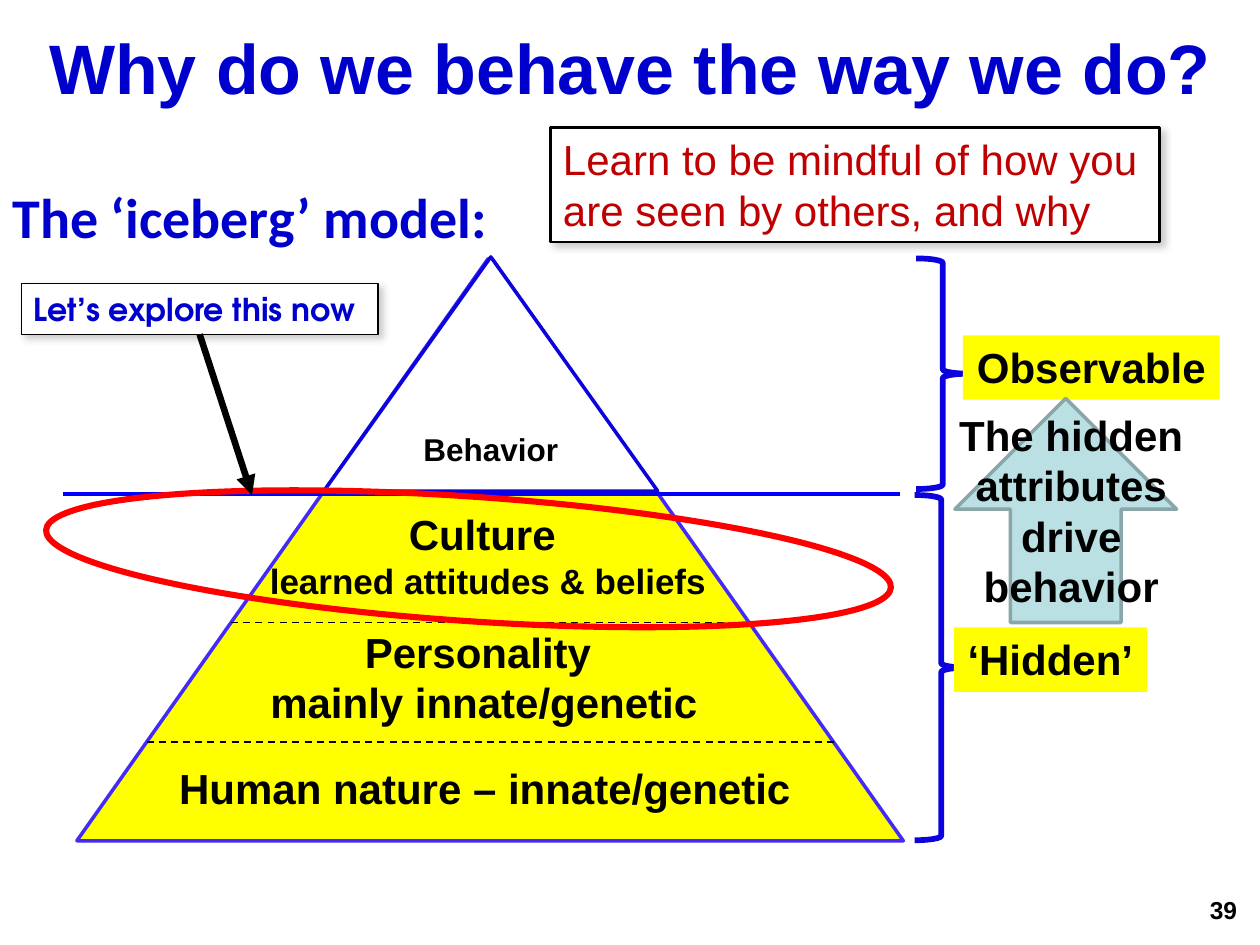
from lxml import etree
from pptx import Presentation
from pptx.dml.color import RGBColor
from pptx.enum import dml, shapes, text
from pptx.oxml import parse_xml
from pptx.oxml.ns import nsdecls, qn
from pptx.util import Cm, Pt

KIND = shapes.MSO_SHAPE
MID, LEFT, RIGHT = (text.PP_ALIGN.CENTER, text.PP_ALIGN.LEFT,
                    text.PP_ALIGN.RIGHT)
BLACK, WHITE, YELLOW = "000000", "FFFFFF", "FFFF00"
NAVY, BLUE = "0000CC", "0C02DE"


def color(hue):
    return RGBColor.from_string(hue)


def add_shape(slide, kind, box, fill=None, line=None, width=1, turn=0):
    shape = slide.shapes.add_shape(kind, *map(Cm, box))
    shape.shadow.inherit = False
    shape.rotation = turn
    if fill:
        shape.fill.solid()
        shape.fill.fore_color.rgb = color(fill)
    else:
        shape.fill.background()
    if line:
        shape.line.color.rgb = color(line)
        shape.line.width = Pt(width)
    else:
        shape.line.fill.background()
    return shape


def write(shape, lines, hue=BLACK, align=MID, font="Arial", bold=True,
          wrap=True, anchor=text.MSO_ANCHOR.TOP):
    """Fill a shape with (words, size) lines parted by line breaks."""
    frame = shape.text_frame
    frame.word_wrap = wrap
    frame.vertical_anchor = anchor
    para = frame.paragraphs[0]
    para.alignment = align
    for i, (words, size) in enumerate(lines):
        if i:
            para.add_line_break()
        run = para.add_run()
        run.text = words
        run.font.name, run.font.size = font, Pt(size)
        run.font.bold = bold
        run.font.color.rgb = color(hue)
    return shape


def add_text(slide, box, lines, **style):
    return write(slide.shapes.add_textbox(*map(Cm, box)), lines, **style)


def add_line(slide, start, end, hue=BLACK, width=1, dash=False, head=False):
    line = slide.shapes.add_connector(shapes.MSO_CONNECTOR.STRAIGHT,
                                      *map(Cm, start + end))
    line.line.color.rgb = color(hue)
    line.line.width = Pt(width)
    if dash:
        line.line.dash_style = dml.MSO_LINE.DASH
    if head:
        tail = etree.SubElement(line.line._get_or_add_ln(), qn("a:tailEnd"))
        tail.set("type", "triangle")
    etree.SubElement(line._element.spPr, qn("a:effectLst"))
    return line


def add_shade(shape):
    props = shape._element.spPr
    props.remove(props.find(qn("a:effectLst")))
    props.append(parse_xml(
        f'<a:effectLst {nsdecls("a")}><a:outerShdw blurRad="{Pt(4)}" '
        f'dist="{Pt(3)}" dir="2700000" algn="tl" rotWithShape="0">'
        '<a:srgbClr val="808080"><a:alpha val="40000"/></a:srgbClr>'
        '</a:outerShdw></a:effectLst>'))


def add_base(slide):
    """Draw the whole pyramid, with dashed lines from edge to edge."""
    left, top, wide, high = box = (1.55, 5.16, 16.66, 11.79)
    parts = [add_shape(slide, KIND.ISOSCELES_TRIANGLE, box, YELLOW,
                       "432BF7", 2)]
    mid = left + wide / 2
    for y in (12.55, 14.96):
        half = wide / 2 * (y - top) / high
        parts.append(add_line(slide, (mid - half, y), (mid + half, y),
                              dash=True))
    slide.shapes.add_group_shape(parts)


def main():
    prs = Presentation()
    prs.slide_width, prs.slide_height = Cm(25.4), Cm(19.05)
    slide = prs.slides.add_slide(prs.slide_layouts[6])

    # Pyramid, heading and water line
    add_base(slide)
    write(add_shape(slide, KIND.RECTANGLE, (0, 3.56, 20.12, 1.63), WHITE),
          [("The ‘iceberg’ model:", 32)], NAVY, LEFT, "Calibri")
    add_line(slide, (1.27, 9.96), (18.14, 9.96), "0000FF", 2.25)

    # Braces and their labels
    for brace, box, name in (
            ((18.47, 5.21, 1.07, 4.65), (19.41, 6.76, 5.18, 1.3),
             "Observable"),
            ((18.44, 9.98, 1.07, 6.96), (19.23, 12.65, 3.89, 1.3),
             "‘Hidden’")):
        add_shape(slide, KIND.RIGHT_BRACE, brace, line=BLUE, width=3.25)
        write(add_shape(slide, KIND.RECTANGLE, box, YELLOW), [(name, 24)],
              wrap=False)

    # Layers below the water
    add_text(slide, (5.16, 12.5, 9.19, 2.49),
             [("Personality ", 24), ("mainly innate/genetic", 24)],
             wrap=False)
    add_text(slide, (4.01, 10.13, 11.66, 2.13),
             [("Culture ", 24), ("learned attitudes & beliefs", 20)])
    add_text(slide, (3.3, 15.24, 12.95, 1.3),
             [("Human nature – innate/genetic", 24)], wrap=False)

    # Tip above the water
    tip = add_shape(slide, KIND.ISOSCELES_TRIANGLE,
                    (6.53, 5.18, 6.73, 4.72), WHITE, BLUE, 2)
    write(tip, [("Behavior", 18)], anchor=text.MSO_ANCHOR.MIDDLE)
    tip.text_frame.margin_top = Cm(0.78)

    # Advice and title
    advice = add_shape(slide, KIND.RECTANGLE, (11.1, 2.57, 12.27, 2.31),
                       WHITE, BLACK, 1.5)
    write(advice, [("Learn to be mindful of how you are seen by others, "
                    "and why", 24)], "C00000", LEFT, bold=False)
    add_shade(advice)
    add_text(slide, (0, 0.38, 25.4, 3.18),
             [("Why do we behave the way we do?", 40)], hue=NAVY)

    # Upward arrow and page number
    add_shape(slide, KIND.UP_ARROW, (19.25, 8.03, 4.47, 4.52),
              "BBE0E3", "8AA6A8", 2)
    add_text(slide, (18.47, 8.13, 6.25, 4.37),
             [("The hidden attributes drive behavior", 24)])
    add_text(slide, (23.72, 17.91, 1.47, 1.14), [("39", 14)], align=RIGHT)

    # Ring round culture, with its note
    add_shape(slide, KIND.OVAL, (0.91, 10.01, 17.07, 2.51),
              line="FF0000", width=3.5, turn=3.9)
    note = add_shape(slide, KIND.RECTANGLE, (0.43, 5.72, 7.19, 1.02),
                     WHITE, BLACK, 0.75)
    write(note, [("Let’s explore this now", 18)], NAVY, LEFT,
          "TeX Gyre Adventor")
    add_shade(note)
    arrow = add_line(slide, (4.02, 6.74), (5.08, 9.98), width=3.75, head=True)
    arrow.begin_connect(note, 2)

    prs.save("out.pptx")


if __name__ == "__main__":
    main()
